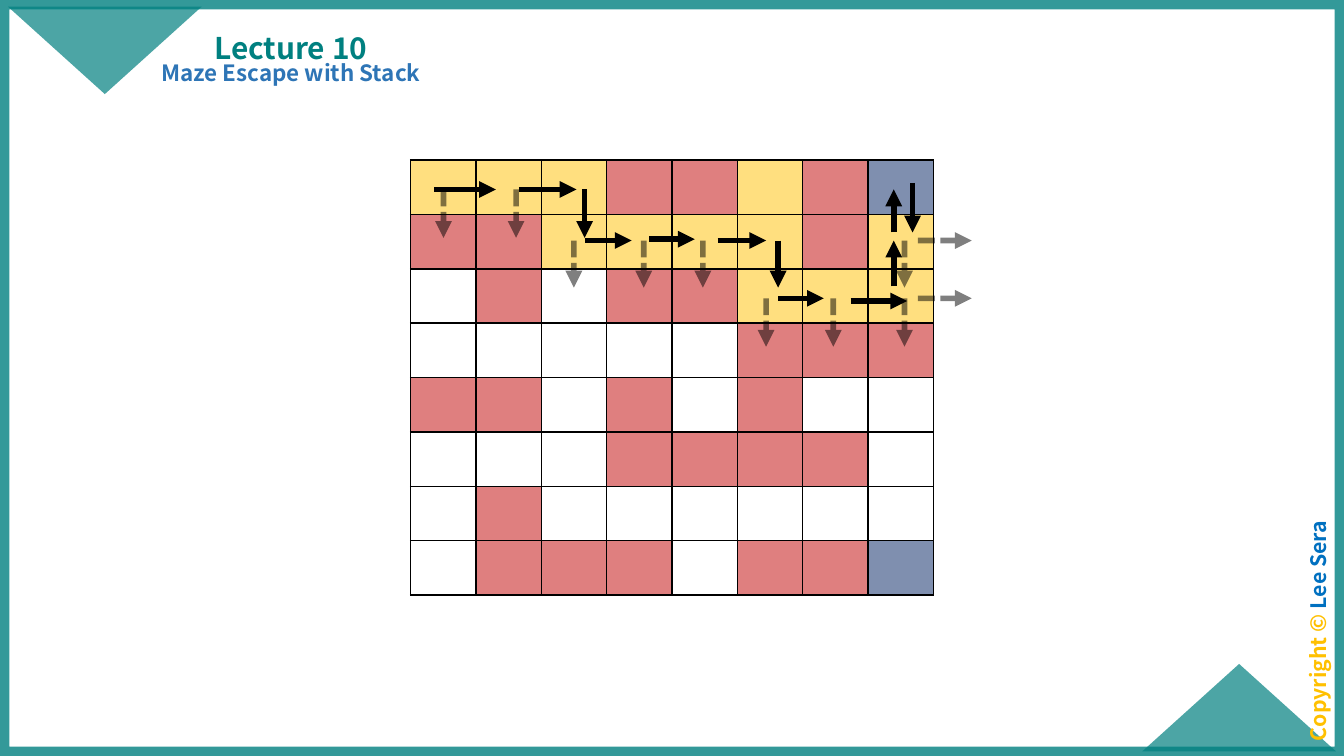
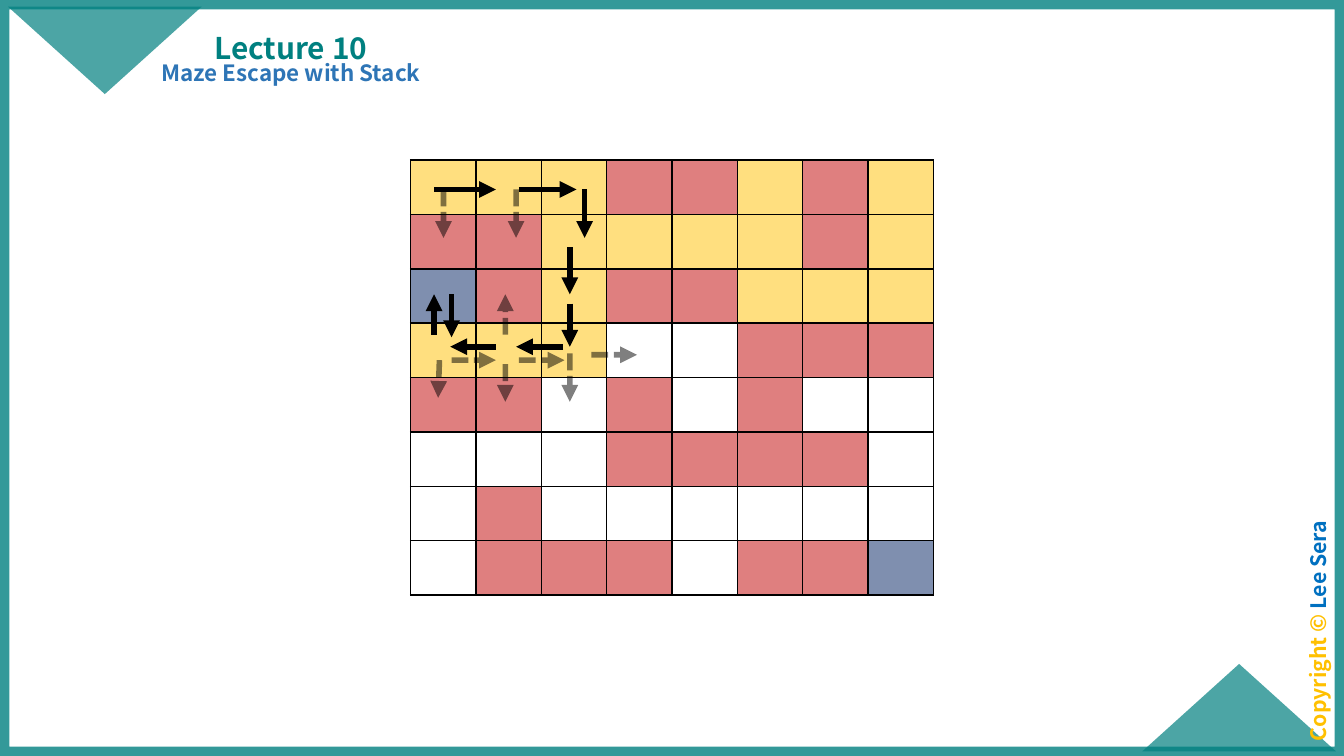
from lxml import etree
from pptx import Presentation
from pptx.dml import color
from pptx.enum import dml, shapes, text
from pptx.oxml import ns
from pptx.util import Inches, Pt

FONT = "Noto Sans CJK KR"
WIDE = 10
HIGH = WIDE * 9 / 16
HUES = {
    "teal": "008080", "blue": "2E75B6", "name": "0070C0", "gold": "FFC000",
    "wall": "C00000", "navy": "002060", "white": "FFFFFF", "black": "000000",
}
KINDS = {"Y": "gold", "R": "wall", "N": "navy", ".": "white"}
MAZE_W, MAZE_H = 3.89, 3.24

LOWER = ["RR.R.R..", "...RRRR.", ".R......", ".RRR.RRN"]
RIGHT = ["YYYRRYRN", "RRYYYYRY", ".R.RRYYY", ".....RRR"] + LOWER
LEFT = ["YYYRRYRY", "RRYYYYRY", "NRYRRYYY", "YYY..RRR"] + LOWER

START = [(3.23, 1.41, 0.46, 0), (3.86, 1.41, 0.43, 0), (4.35, 1.41, 0, 0.36)]
START_TRY = [(3.3, 1.41, 0, 0.36), (3.84, 1.41, 0, 0.36)]

RIGHT_GO = START + [
    (4.35, 1.79, 0.35, 0), (4.83, 1.78, 0.34, 0), (5.34, 1.79, 0.36, 0),
    (5.79, 1.79, 0, 0.35), (5.79, 2.22, 0.34, 0), (6.33, 2.24, 0.42, 0),
    (6.65, 2.13, 0, -0.34), (6.65, 1.73, 0, -0.32), (6.79, 1.36, 0, 0.37),
]
RIGHT_TRY = START_TRY + [
    *[(x, 1.79, 0, 0.35) for x in (4.27, 4.79, 5.23, 6.73)],
    *[(x, 2.22, 0, 0.36) for x in (5.7, 6.2, 6.73)],
    *[(6.83, y, 0.4, 0) for y in (1.79, 2.22)],
]
LEFT_GO = START + [
    (4.24, 1.84, 0, 0.35), (4.24, 2.26, 0, 0.32), (4.19, 2.58, -0.35, 0),
    (3.69, 2.58, -0.34, 0), (3.23, 2.49, 0, -0.3), (3.36, 2.19, 0, 0.32),
]
LEFT_TRY = START_TRY + [
    (4.24, 2.63, 0, 0.36), (3.86, 2.68, 0.34, 0), (3.76, 2.71, 0, 0.28),
    (3.76, 2.49, 0, -0.3), (3.36, 2.68, 0.33, 0), (3.27, 2.68, -0.01, 0.28),
    (4.4, 2.64, 0.34, 0),
]


def rgb(hue):
    return color.RGBColor.from_string(HUES[hue])


def add(node, tag, **attrs):
    return etree.SubElement(node, ns.qn(tag), **attrs)


def fade(node, share):
    for item in node.iter(ns.qn("a:srgbClr")):
        add(item, "a:alpha", val=str(share * 1000))


def paint(fill, hue):
    fill.solid()
    fill.fore_color.rgb = rgb(hue)


def label(slide, box, runs, size, anchor="TOP", spacing=0.9, before=0, turn=0):
    shape = slide.shapes.add_textbox(*map(Inches, box))
    shape.rotation = turn
    frame = shape.text_frame
    frame.word_wrap = True
    frame.vertical_anchor = getattr(text.MSO_ANCHOR, anchor)
    frame.margin_left = frame.margin_right = Inches(0.07)
    frame.margin_top = frame.margin_bottom = Inches(0.04)
    para = frame.paragraphs[0]
    para.alignment = text.PP_ALIGN.CENTER
    para.line_spacing = spacing
    para.space_before = Pt(before)
    for words, hue in runs:
        run = para.add_run()
        run.text = words
        run.font.name = FONT
        run.font.size = Pt(size)
        run.font.bold = True
        run.font.color.rgb = rgb(hue)
        add(run.font._element, "a:ea", typeface=FONT)


def corner(slide, left, top, turn=0):
    box = map(Inches, (left, top, 1.44, 0.65))
    shape = slide.shapes.add_shape(shapes.MSO_SHAPE.ISOSCELES_TRIANGLE, *box)
    shape.rotation = turn
    shape.shadow.inherit = False
    shape.line.fill.background()
    paint(shape.fill, "teal")
    fade(shape.element.spPr, 70)


def border(slide):
    box = map(Inches, (0, 0, WIDE, HIGH))
    shape = slide.shapes.add_shape(shapes.MSO_SHAPE.RECTANGLE, *box)
    shape.shadow.inherit = False
    shape.fill.background()
    shape.line.width = Pt(10)
    paint(shape.line.fill, "teal")
    fade(shape.element.spPr, 80)


def square(cell, kind):
    cell.margin_left = cell.margin_right = 0
    cell.margin_top = cell.margin_bottom = 0
    add(cell.text_frame.paragraphs[0]._p, "a:endParaRPr", sz="800")
    paint(cell.fill, KINDS[kind])
    props = cell._tc.get_or_add_tcPr()
    fade(props, 50)
    for spot, side in enumerate("LRTB"):
        edge = etree.Element(ns.qn("a:ln" + side), w=str(Pt(1)))
        add(add(edge, "a:solidFill"), "a:srgbClr", val=HUES["black"])
        props.insert(spot, edge)


def maze(slide, rows):
    box = map(Inches, ((WIDE - MAZE_W) / 2, 1.19, MAZE_W, MAZE_H))
    table = slide.shapes.add_table(len(rows), len(rows[0]), *box).table
    table.first_row = table.horz_banding = False
    for col in table.columns:
        col.width = Inches(MAZE_W / len(rows[0]))
    for r, row in enumerate(rows):
        table.rows[r].height = Inches(MAZE_H / len(rows))
        for c, kind in enumerate(row):
            square(table.cell(r, c), kind)


def arrow(slide, x, y, dx, dy, dashed=False):
    ends = map(Inches, (x, y, x + dx, y + dy))
    link = slide.shapes.add_connector(shapes.MSO_CONNECTOR.STRAIGHT, *ends)
    link.line.width = Pt(3)
    paint(link.line.fill, "black")
    props = link._element.spPr
    if dashed:
        link.line.dash_style = dml.MSO_LINE.SQUARE_DOT
        fade(props, 50)
    add(props.find(ns.qn("a:ln")), "a:tailEnd", type="triangle")
    add(props, "a:effectLst")


def frame(slide):
    paint(slide.background.fill, "white")
    border(slide)
    corner(slide, 8.5, 4.94)
    corner(slide, 0.06, 0.05, turn=180)
    label(slide, (8.92, 4.57, 1.86, 0.25),
          [("Copyright © ", "gold"), ("Lee Sera", "name")],
          11.4, spacing=0.7, before=10, turn=270)
    label(slide, (1.4, 0.06, 1.53, 0.47), [("Lecture 10", "teal")], 16, anchor="BOTTOM")
    label(slide, (1.1, 0.42, 2.13, 0.34), [("Maze Escape with Stack", "blue")],
          12, before=7.5)


def main():
    deck = Presentation()
    deck.slide_width, deck.slide_height = Inches(WIDE), Inches(HIGH)
    for rows, moves, tries in ((RIGHT, RIGHT_GO, RIGHT_TRY), (LEFT, LEFT_GO, LEFT_TRY)):
        slide = deck.slides.add_slide(deck.slide_layouts[6])
        frame(slide)
        maze(slide, rows)
        for step in tries:
            arrow(slide, *step, dashed=True)
        for step in moves:
            arrow(slide, *step)
    deck.save("out.pptx")


if __name__ == "__main__":
    main()
